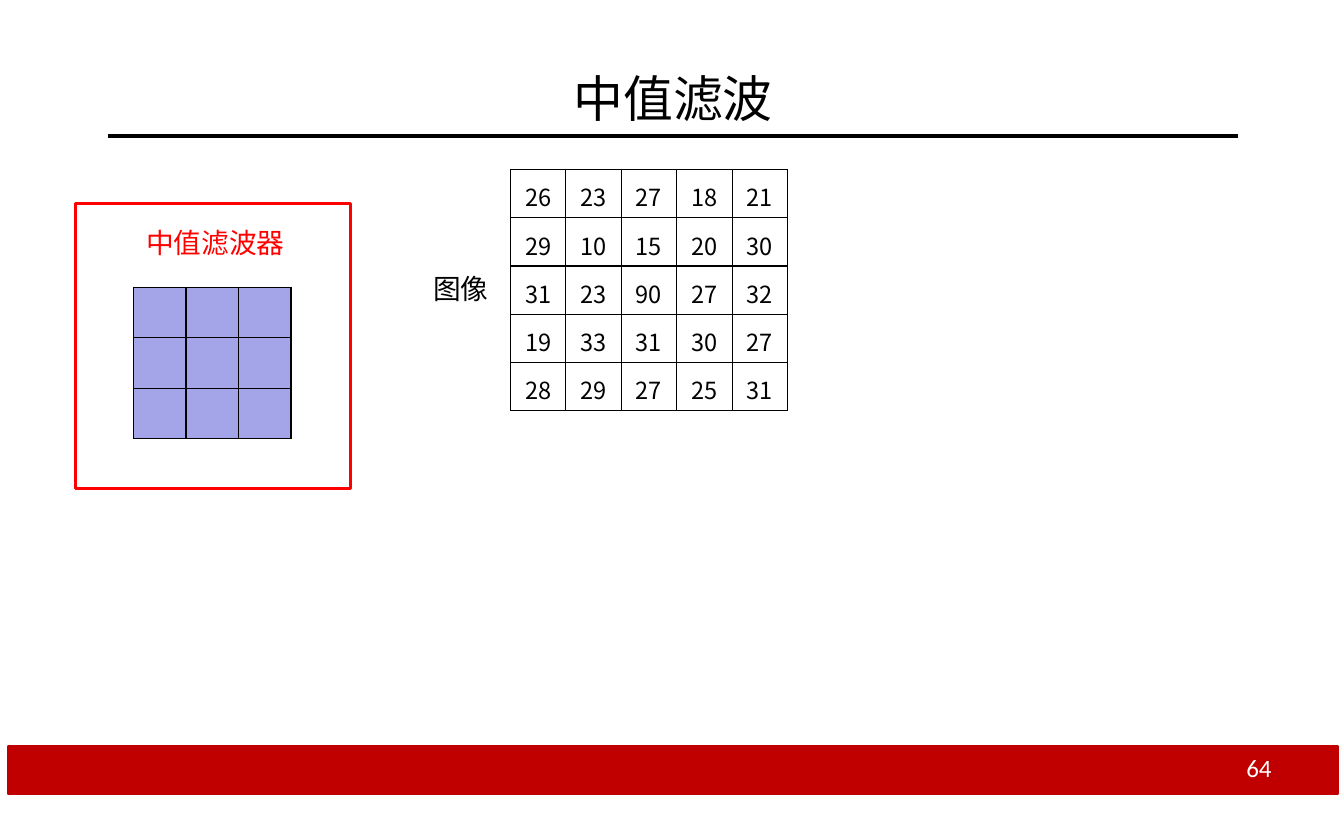
import lxml.etree
import pptx
import pptx.dml.color
import pptx.enum.shapes
import pptx.enum.text
import pptx.oxml.ns
import pptx.util

Inches = pptx.util.Inches
Pt = pptx.util.Pt
RGBColor = pptx.dml.color.RGBColor
Align = pptx.enum.text.PP_ALIGN
Anchor = pptx.enum.text.MSO_ANCHOR
qn = pptx.oxml.ns.qn

BLACK = RGBColor(0, 0, 0)
WHITE = RGBColor(255, 255, 255)
RED = RGBColor(255, 0, 0)
DARK_RED = RGBColor(0xC0, 0, 0)
LAVENDER = RGBColor(0xA4, 0xA4, 0xE9)
CJK = "Noto Sans CJK SC"


def write(frame, text, size, color, align, font=CJK):
    frame.word_wrap = True
    frame.vertical_anchor = Anchor.TOP
    frame.margin_left = frame.margin_right = frame.margin_top = frame.margin_bottom = 0
    para = frame.paragraphs[0]
    para.alignment = align
    span = para.add_run()
    span.text = text
    span.font.size = Pt(size)
    span.font.name = font
    span.font.color.rgb = color
    latin = span.font._element.find(qn("a:latin"))
    east_asian = lxml.etree.Element(qn("a:ea"), typeface=font)
    latin.addnext(east_asian)


def add_grid(page, count, left, top, width, height, fill):
    table = page.shapes.add_table(
        count, count, Inches(left), Inches(top), Inches(width), Inches(height)
    ).table
    table.first_row = table.horz_banding = False
    for column in table.columns:
        column.width = Inches(width / count)
    for row in table.rows:
        row.height = Inches(height / count)
    for cell in table.iter_cells():
        cell.margin_left = cell.margin_right = cell.margin_top = cell.margin_bottom = 0
        properties = cell._tc.get_or_add_tcPr()
        for side in ("lnL", "lnR", "lnT", "lnB"):
            border = lxml.etree.SubElement(properties, qn(f"a:{side}"), w=str(Pt(0.5)))
            solid = lxml.etree.SubElement(border, qn("a:solidFill"))
            lxml.etree.SubElement(solid, qn("a:srgbClr"), val=str(BLACK))
        cell.fill.solid()
        cell.fill.fore_color.rgb = fill
    return table


deck = pptx.Presentation()
deck.slide_width = Inches(6.74)
deck.slide_height = Inches(4.11)
page = deck.slides.add_slide(deck.slide_layouts[5])

title = page.shapes.title
title.left, title.top = Inches(0.54), Inches(0.34)
title.width, title.height = Inches(5.67), Inches(0.33)
write(title.text_frame, "中值滤波", 18, BLACK, Align.CENTER)

rule = page.shapes.add_connector(
    pptx.enum.shapes.MSO_CONNECTOR.STRAIGHT,
    Inches(0.54), Inches(0.68), Inches(6.21), Inches(0.68),
)
rule.line.color.rgb = BLACK
rule.line.width = Pt(1.5)
lxml.etree.SubElement(rule._element.spPr, qn("a:effectLst"))

for left, top, width, height, fill, line in [
    (0.04, 3.74, 6.67, 0.24, DARK_RED, DARK_RED),
    (0.38, 1.02, 1.38, 1.43, None, RED),
]:
    box = page.shapes.add_shape(
        pptx.enum.shapes.MSO_SHAPE.RECTANGLE,
        Inches(left), Inches(top), Inches(width), Inches(height),
    )
    box.shadow.inherit = False
    if fill is None:
        box.fill.background()
    else:
        box.fill.solid()
        box.fill.fore_color.rgb = fill
    box.line.color.rgb = line
    box.line.width = Pt(1)

filter_table = add_grid(page, 3, 0.67, 1.44, 0.79, 0.76, LAVENDER)
for cell in filter_table.iter_cells():
    para = cell.text_frame.paragraphs[0]
    lxml.etree.SubElement(para._p, qn("a:endParaRPr"), sz="850")

image_values = [
    [26, 23, 27, 18, 21],
    [29, 10, 15, 20, 30],
    [31, 23, 90, 27, 32],
    [19, 33, 31, 30, 27],
    [28, 29, 27, 25, 31],
]
image_table = add_grid(page, 5, 2.56, 0.85, 1.39, 1.21, WHITE)
for row, values in enumerate(image_values):
    for column, value in enumerate(values):
        cell = image_table.cell(row, column)
        write(cell.text_frame, str(value), 8.5, BLACK, Align.CENTER)
        cell.margin_top = Inches(0.05)

for text, left, top, width, height, size, color, align, font in [
    ("中值滤波器", 0.58, 1.13, 1, 0.21, 10, RED, Align.CENTER, CJK),
    ("图像", 2.05, 1.36, 0.4, 0.21, 10, BLACK, Align.RIGHT, CJK),
    ("64", 6.25, 3.77, 0.15, 0.17, 9, WHITE, Align.LEFT, "Calibri"),
]:
    label = page.shapes.add_textbox(
        Inches(left), Inches(top), Inches(width), Inches(height)
    )
    write(label.text_frame, text, size, color, align, font)

deck.save("out.pptx")
